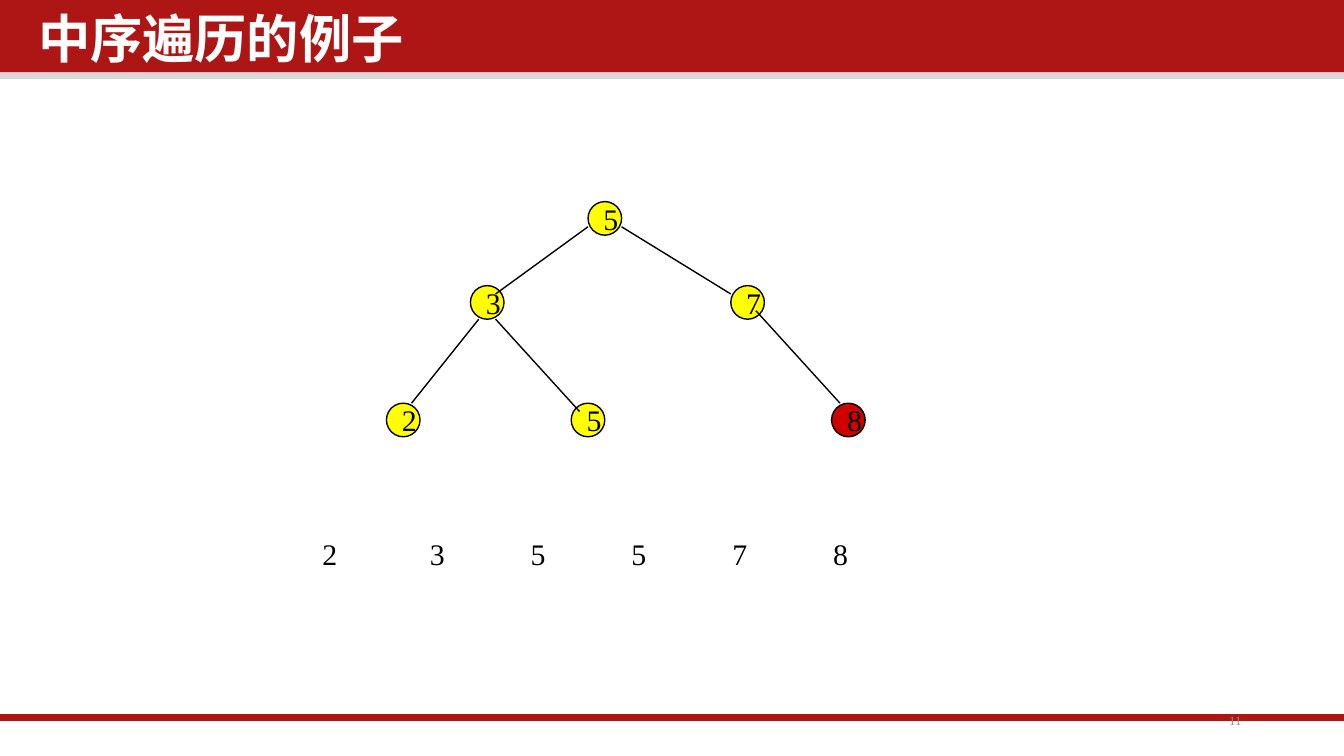
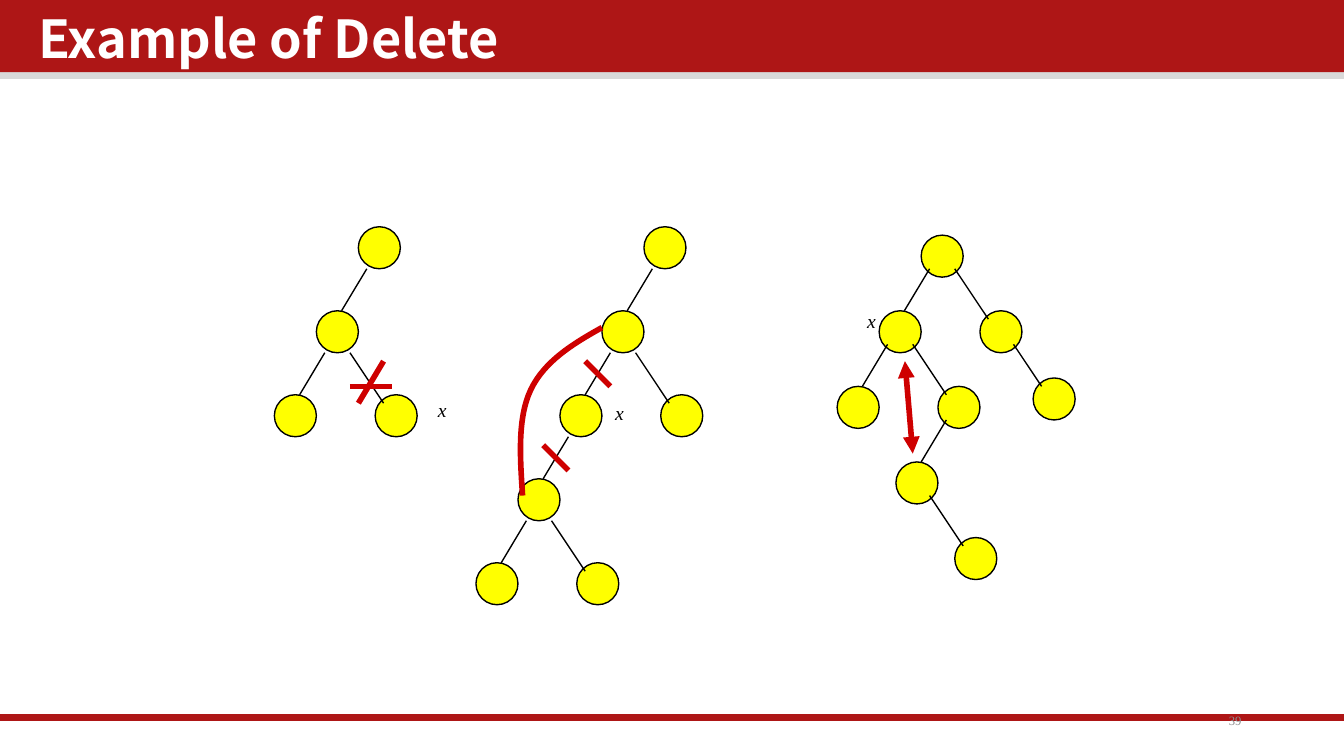
from lxml.etree import SubElement
from pptx import Presentation
from pptx.dml.color import RGBColor
from pptx.enum.shapes import MSO_CONNECTOR as Conn, MSO_SHAPE as Geo
from pptx.enum.text import MSO_ANCHOR as Anchor, MSO_AUTO_SIZE as Auto, PP_ALIGN as Align
from pptx.oxml.ns import qn
from pptx.util import Pt

RED = RGBColor(0xAE, 0x16, 0x16)
MARK = RGBColor(0xCE, 0x00, 0x00)
GRAY = RGBColor(0xD9, 0xD9, 0xD9)
DIM = RGBColor(0x8C, 0x8C, 0x8C)
YELLOW = RGBColor(0xFF, 0xFF, 0x00)
BLACK = RGBColor(0x00, 0x00, 0x00)
WHITE = RGBColor(0xFF, 0xFF, 0xFF)
SERIF = "Times New Roman"
SANS = "Noto Sans CJK SC"


def link(shapes, x1, y1, x2, y2, color=BLACK, width=0.75):
    """Draw a straight line without a shadow."""
    line = shapes.add_connector(Conn.STRAIGHT, Pt(x1), Pt(y1), Pt(x2), Pt(y2))
    line.line.color.rgb = color
    line.line.width = Pt(width)
    SubElement(line.element.spPr, qn("a:effectLst"))
    return line


def item(shapes, x, y, w, h, text="", size=16, fill=None, color=BLACK):
    """Draw a tree node if a fill is given, else a text box."""
    box = Pt(x), Pt(y), Pt(w), Pt(h)
    if fill is not None:
        shape = shapes.add_shape(Geo.OVAL, *box)
        shape.shadow.inherit = False
        shape.fill.solid()
        shape.fill.fore_color.rgb = fill
        shape.line.color.rgb = BLACK
        shape.line.width = Pt(0.75)
    else:
        shape = shapes.add_textbox(*box)
    if text:
        frame = shape.text_frame
        frame.text = text
        frame.word_wrap = False
        frame.auto_size = Auto.NONE if fill is not None else Auto.SHAPE_TO_FIT_TEXT
        frame.vertical_anchor = Anchor.TOP if fill is None else Anchor.MIDDLE
        para = frame.paragraphs[0]
        para.alignment = Align.LEFT
        font = para.runs[0].font
        font.name, font.size, font.color.rgb = SERIF, Pt(size), color
    return shape


deck = Presentation()
deck.slide_width, deck.slide_height = Pt(720), Pt(405)
plain = deck.slide_layouts[5]
for holder in list(plain.placeholders)[1:]:
    plain.shapes.element.remove(holder.element)

# Title and page number
pages = []
for name, num in (("中序遍历的例子", "11"), ("Example of Delete", "39")):
    page = deck.slides.add_slide(plain)
    pages.append(page)
    title = page.shapes.title
    title.left, title.top, title.width, title.height = Pt(15), Pt(4.5), Pt(550), Pt(42.5)
    frame = title.text_frame
    frame.text = name
    frame.vertical_anchor = Anchor.TOP
    frame.auto_size = Auto.NONE
    frame.word_wrap = True
    para = frame.paragraphs[0]
    para.alignment = Align.LEFT
    para.line_spacing = 0.9
    font = para.runs[0].font
    font.size, font.bold, font.name, font.color.rgb = Pt(28), True, SANS, WHITE
    for props in title.element.iter(qn("a:rPr")):
        SubElement(props, qn("a:ea"), typeface=SANS)
    foot = item(page.shapes, 508.5, 375, 162, 21.6, num, 6.8, color=DIM)
    foot.text_frame.auto_size = Auto.NONE
    foot.text_frame.word_wrap = True
    foot.text_frame.vertical_anchor = Anchor.MIDDLE
    foot.text_frame.paragraphs[0].alignment = Align.RIGHT
    for frame in (title.text_frame, foot.text_frame):
        frame.margin_left = frame.margin_right = Pt(5.4)
        frame.margin_top = frame.margin_bottom = Pt(2.7)

# Bands, moved to the shared layout
walk, cut = pages
bands = []
for top, high, color in ((36, 6.3, GRAY), (0, 38.7, RED)):
    band = walk.shapes.add_shape(Geo.RECTANGLE, 0, Pt(top), Pt(720), Pt(high))
    band.shadow.inherit = False
    band.fill.solid()
    band.fill.fore_color.rgb = color
    band.line.fill.background()
    bands.append(band)
bands.append(link(walk.shapes, 0, 384.5, 720, 384.5, RED, 4))
for band in bands:
    plain.shapes.element.append(band.element)

# Search tree
keys = (("5", 315, 108), ("8", 445.5, 216), ("5", 306, 216),
        ("2", 207, 216), ("7", 391.5, 153), ("3", 252, 153))
for key, x, y in keys:
    item(walk.shapes, x, y, 18, 18, key, fill=MARK if key == "8" else YELLOW)
for ends in ((256.5, 171, 220.5, 216), (265.5, 171, 310.5, 220.5),
             (315, 121.5, 265.5, 157.5), (333, 121.5, 391.5, 157.5),
             (405, 166.5, 450, 216)):
    link(walk.shapes, *ends)

# Keys in order
for i, key in enumerate("235578"):
    x = 169.2 + 54 * i if i else 165.6
    item(walk.shapes, x, 283.7, 22.3, 26.6, key)

# Three delete cases: root, line start, x label, children (parent, dx, dy), marks
LEFT, RIGHT = (-22.5, 45), (31.5, 45)
LOW, LOWR = (-22.5, 40.5), (31.5, 40.5)
cases = (
    ((192, 121.5), 22.5, (227.5, 209.5),
     ((0, *LEFT), (1, *LEFT), (1, *RIGHT)),
     ((205.5, 193.5, 192, 216), (187.5, 207, 210, 207))),
    ((345, 121.5), 22.5, (322.5, 211.5),
     ((0, *LEFT), (1, *LEFT), (1, *RIGHT), (2, *LEFT), (4, *LEFT), (4, *RIGHT)),
     ((313.5, 193.5, 327, 207), (291, 238.5, 304.5, 252))),
    ((493.5, 126), 18, (457.5, 162),
     ((0, *LOW), (0, *LOWR), (1, *LOW), (1, *LOWR), (2, 28.5, 36),
      (4, *LOW), (6, *LOWR)),
     ((484.8, 193.5, 489, 243),)),
)
groups = []
for root, start, tag, kids, marks in cases:
    group = cut.shapes.add_group_shape().shapes
    groups.append(group)
    spots = [root]
    for up, dx, dy in kids:
        spots.append((spots[up][0] + dx, spots[up][1] + dy))
    for x, y in spots:
        item(group, x, y, 22.5, 22.5, fill=YELLOW)
    for (up, dx, dy), (x, y) in zip(kids, spots[1:]):
        px, py = spots[up]
        if dx < 0:
            link(group, px + 4.5, py + start, x + 13.5, y)
        else:
            link(group, px + 18, py + start, x + 4.5, y + 4.5)
    note = item(group, *tag, 18.7, 20.2, "x", 10.5)
    note.text_frame.paragraphs[0].runs[0].font.italic = True
    for ends in marks:
        stroke = link(group, *ends, MARK, 3)

# Swap arrow, the last stroke of the third case
for end in ("a:headEnd", "a:tailEnd"):
    SubElement(stroke.element.spPr.find(qn("a:ln")), qn(end), type="triangle")

# Bypass curve: each three points become one cubic segment
points = ((278.6, 244.8), (277.2, 223.9), (284.4, 208.8),
          (291.6, 193.7), (306.7, 184.3), (322.5, 175.5))
pen = groups[1].build_freeform(Pt(280), Pt(265.5))
pen.add_line_segments([(Pt(x), Pt(y)) for x, y in points], close=False)
curve = pen.convert_to_shape()
curve.shadow.inherit = False
curve.fill.background()
curve.line.color.rgb = MARK
curve.line.width = Pt(3)
steps = list(curve.element.iter(qn("a:lnTo")))
for i in range(0, len(steps), 3):
    bend = SubElement(steps[i].getparent(), qn("a:cubicBezTo"))
    for step in steps[i:i + 3]:
        bend.append(step[0])
        step.getparent().remove(step)

deck.save("out.pptx")
